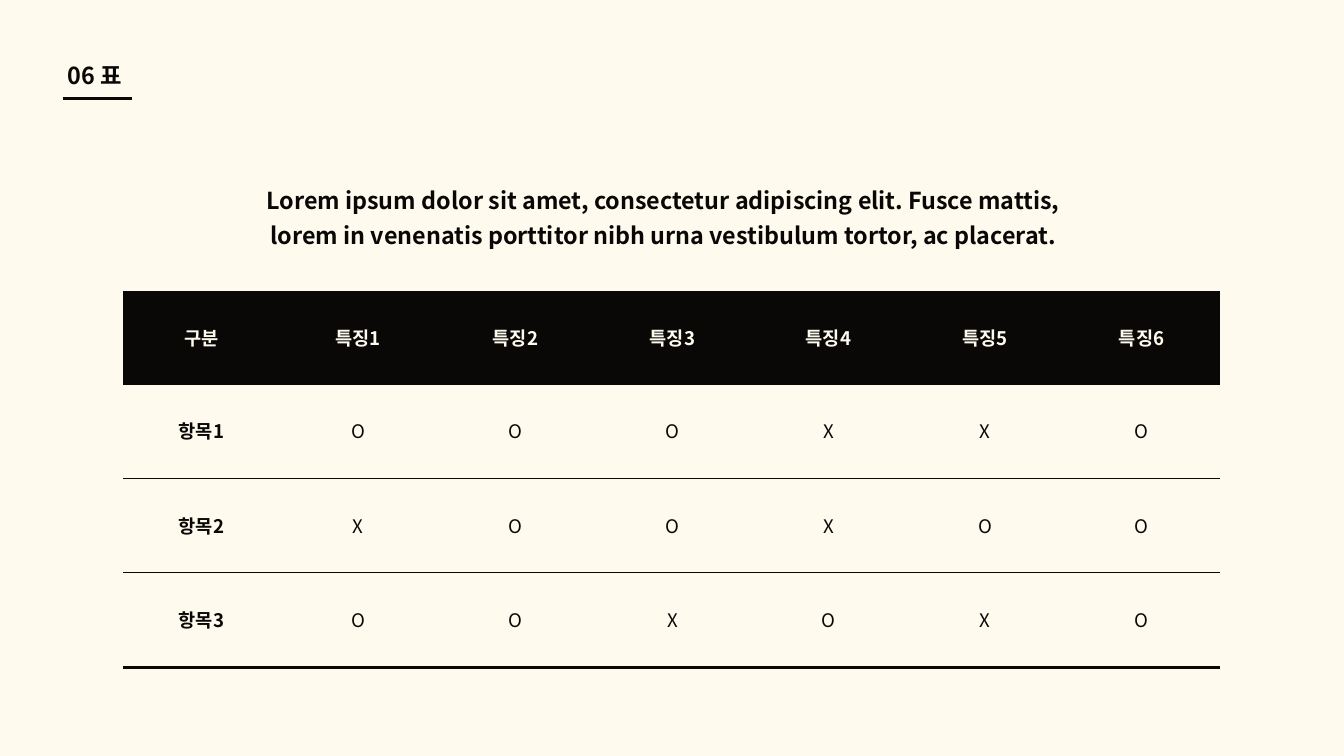
"""Build a feature comparison table slide."""
from lxml import etree
from pptx import Presentation
from pptx.dml.color import RGBColor
from pptx.enum.shapes import MSO_CONNECTOR
from pptx.enum.text import MSO_ANCHOR, MSO_AUTO_SIZE, PP_ALIGN
from pptx.oxml.ns import qn
from pptx.util import Cm, Pt

STRAIGHT = MSO_CONNECTOR.STRAIGHT
TOP, MIDDLE = MSO_ANCHOR.TOP, MSO_ANCHOR.MIDDLE
LEFT, CENTER = PP_ALIGN.LEFT, PP_ALIGN.CENTER
FIXED = MSO_AUTO_SIZE.NONE

COLUMN_WIDTHS = [5.92, 5.92, 5.99, 5.87, 5.92, 5.92, 5.92]
ROW_HEIGHTS = [3.51, 3.58, 3.56, 3.58]
ROWS = [
    ["구분"] + [f"특징{number}" for number in range(1, 7)],
    ["항목1", *"OOOXXO"],
    ["항목2", *"XOOXOO"],
    ["항목3", *"OOXOXO"],
]


def color(value):
    return RGBColor.from_string(value)


class SlideBuilder:
    """Hold the shared style and the current slide."""

    font = "Noto Sans CJK KR"
    ink = "090807"
    paper = "FEFBEE"

    def __init__(self, deck):
        self.page = deck.slides.add_slide(deck.slide_layouts[0])
        fill = self.page.background.fill
        fill.solid()
        fill.fore_color.rgb = color(self.paper)

    def add_span(self, para, text, size, spacing, align, ink, bold=True):
        para.alignment = align
        para.line_spacing = Pt(spacing)
        para.space_before = Pt(0)
        span = para.add_run()
        span.text = text
        span.font.name = self.font
        span.font.size = Pt(size)
        span.font.bold = bold
        span.font.color.rgb = color(ink)
        latin = span.font._element.find(qn("a:latin"))
        east_asian = etree.Element(qn("a:ea"), typeface=self.font)
        latin.addnext(east_asian)

    def text(self, box, left, top, width, height, text, spacing, align):
        box.left, box.top = Cm(left), Cm(top)
        box.width, box.height = Cm(width), Cm(height)
        frame = box.text_frame
        frame.margin_left = frame.margin_right = 0
        frame.margin_top = frame.margin_bottom = 0
        frame.word_wrap = True
        frame.auto_size = FIXED
        frame.vertical_anchor = TOP
        self.add_span(frame.paragraphs[0], text, 25, spacing, align, self.ink)

    def line(self, left, top, right, bottom, width):
        rule = self.page.shapes.add_connector(
            STRAIGHT, Cm(left), Cm(top), Cm(right), Cm(bottom))
        rule.line.color.rgb = color(self.ink)
        rule.line.width = Pt(width)
        etree.SubElement(rule._element.spPr, qn("a:effectLst"))

    def border(self, cell, side, width):
        properties = cell._tc.get_or_add_tcPr()
        edge = etree.SubElement(properties, qn(f"a:ln{side}"), w=str(Pt(width)))
        if width:
            fill = etree.SubElement(edge, qn("a:solidFill"))
            etree.SubElement(fill, qn("a:srgbClr"), val=self.ink)
        else:
            etree.SubElement(edge, qn("a:noFill"))

    def cell(self, cell, text, header, bold, top, bottom):
        cell.margin_left = cell.margin_right = Cm(0.5)
        cell.margin_top = cell.margin_bottom = Cm(0.5)
        cell.vertical_anchor = MIDDLE
        for side, width in zip("LRTB", (0, 0, top, bottom)):
            self.border(cell, side, width)
        if header:
            cell.fill.solid()
            cell.fill.fore_color.rgb = color(self.ink)
        else:
            cell.fill.background()
        ink = self.paper if header else self.ink
        para = cell.text_frame.paragraphs[0]
        self.add_span(para, text, 20, 28, CENTER, ink, bold)

    def table(self, left, top, rows, widths, heights):
        frame = self.page.shapes.add_table(
            len(rows), len(widths), Cm(left), Cm(top),
            Cm(sum(widths)), Cm(sum(heights)))
        grid = frame.table
        grid.horz_banding = False
        for column, width in zip(grid.columns, widths):
            column.width = Cm(width)
        for row, height in zip(grid.rows, heights):
            row.height = Cm(height)
        last = len(rows) - 1
        for r, values in enumerate(rows):
            for c, value in enumerate(values):
                self.cell(grid.cell(r, c), value, header=r == 0,
                          bold=r == 0 or c == 0,
                          top=0.75 if r else 0,
                          bottom=3 if r == last else 0.75)


def main():
    deck = Presentation()
    deck.slide_width, deck.slide_height = Cm(50.8), Cm(28.58)
    builder = SlideBuilder(deck)
    title, body = builder.page.placeholders
    builder.line(2.39, 3.73, 4.98, 3.73, 3)
    builder.table(4.65, 11, ROWS, COLUMN_WIDTHS, ROW_HEIGHTS)
    builder.text(title, 2.57, 2.13, 2.11, 1.17, "06 표", 35, LEFT)
    builder.text(body, 8.92, 6.76, 32.28, 2.54,
                 "Lorem ipsum dolor sit amet, consectetur adipiscing elit. "
                 "Fusce mattis, lorem in venenatis porttitor nibh urna "
                 "vestibulum tortor, ac placerat.", 37.5, CENTER)
    deck.save("out.pptx")


if __name__ == "__main__":
    main()
